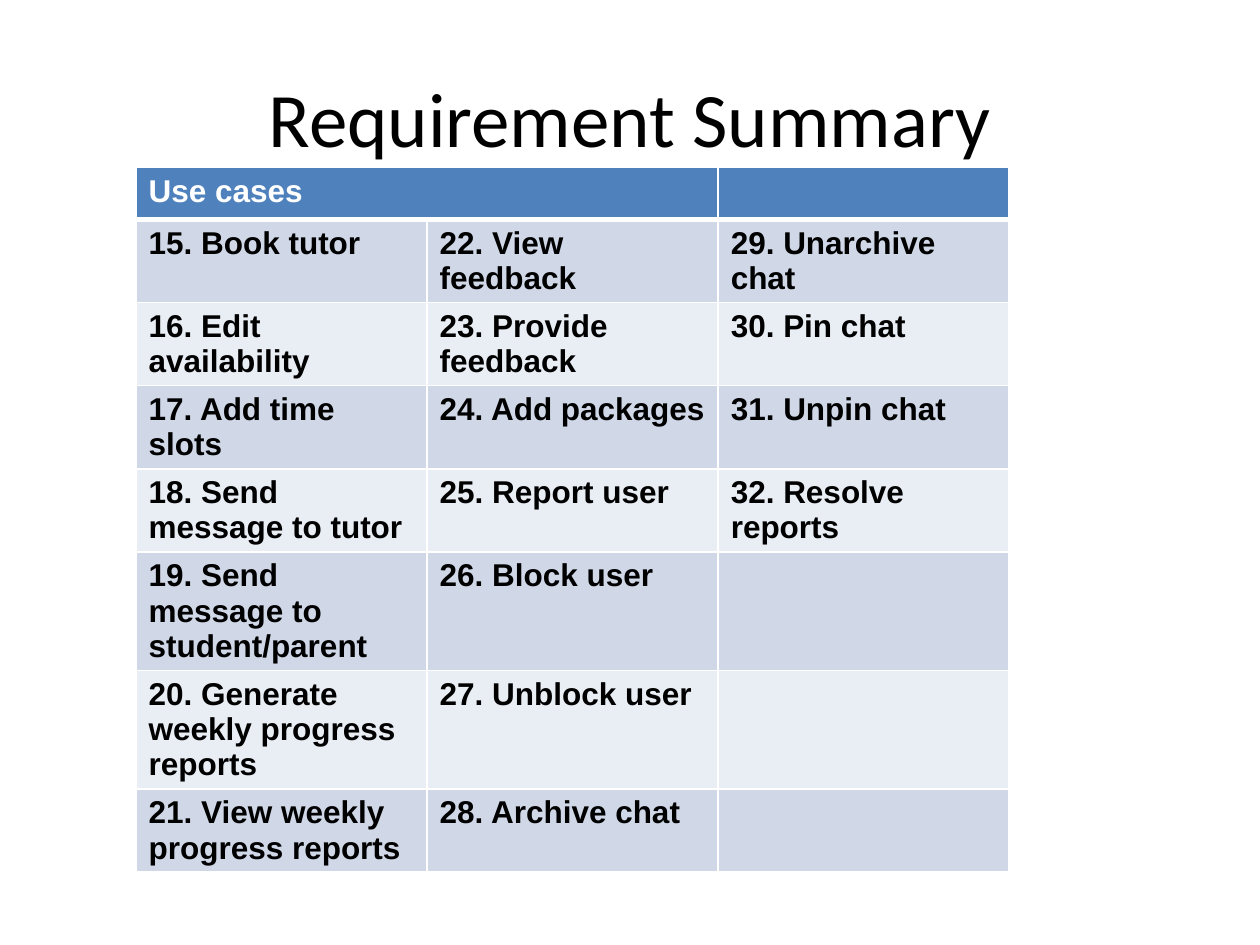
from lxml import etree
from pptx import Presentation
from pptx.dml.color import RGBColor
from pptx.enum.text import MSO_ANCHOR, PP_ALIGN
from pptx.oxml.ns import qn
from pptx.util import Inches, Pt

TITLE = "Requirement Summary"
HEADER = "Use cases"
USE_CASE_COLUMNS = [
    ["15. Book tutor", "16. Edit availability", "17. Add time slots",
     "18. Send message to tutor", "19. Send message to student/parent",
     "20. Generate weekly progress reports", "21. View weekly progress reports"],
    ["22. View feedback", "23. Provide feedback", "24. Add packages",
     "25. Report user", "26. Block user", "27. Unblock user", "28. Archive chat"],
    ["29. Unarchive chat", "30. Pin chat", "31. Unpin chat",
     "32. Resolve reports", "", "", ""],
]

BLACK = RGBColor(0x00, 0x00, 0x00)
WHITE = RGBColor(0xFF, 0xFF, 0xFF)
HEADER_BLUE = RGBColor(0x4F, 0x81, 0xBD)
BANDS = [RGBColor(0xD0, 0xD8, 0xE8), RGBColor(0xE9, 0xED, 0xF4)]

COLUMN_WIDTH = 2.31
ROW_HEIGHT = 0.41


def write(frame, text, *, font="Arial", size=18, color=BLACK, bold=False, align=None):
    paragraph = frame.paragraphs[0]
    paragraph.alignment = align
    if not text:
        paragraph.font.size = Pt(size)
        return
    run = paragraph.add_run()
    run.text = text
    run.font.name = font
    run.font.size = Pt(size)
    run.font.bold = bold
    run.font.color.rgb = color


def set_borders(cell, **widths):
    """Draw white cell borders; widths in points, keyed by side L, R, T, B."""
    properties = cell._tc.get_or_add_tcPr()
    for position, (side, width) in enumerate(widths.items()):
        line = etree.Element(qn(f"a:ln{side}"), w=str(Pt(width)))
        fill = etree.SubElement(line, qn("a:solidFill"))
        etree.SubElement(fill, qn("a:srgbClr"), val=str(WHITE))
        properties.insert(position, line)


def add_use_cases(slide):
    rows = [[HEADER, "", ""], *zip(*USE_CASE_COLUMNS)]
    column_count = len(USE_CASE_COLUMNS)
    table = slide.shapes.add_table(
        len(rows), column_count, Inches(1.08), Inches(1.33),
        Inches(COLUMN_WIDTH * column_count), Inches(ROW_HEIGHT * len(rows))).table
    for column in table.columns:
        column.width = Inches(COLUMN_WIDTH)

    for r, row in enumerate(rows):
        table.rows[r].height = Inches(ROW_HEIGHT)
        for c, text in enumerate(row):
            cell = table.cell(r, c)
            cell.fill.solid()
            cell.fill.fore_color.rgb = BANDS[(r - 1) % 2] if r else HEADER_BLUE
            set_borders(cell, L=1, R=1, T=3 if r == 1 else 1, B=1 if r else 3)
            write(cell.text_frame, text, color=BLACK if r else WHITE, bold=True)
    table.cell(0, 0).merge(table.cell(0, 1))


def main():
    deck = Presentation()
    deck.slide_width, deck.slide_height = Inches(10), Inches(7.5)
    slide = deck.slides.add_slide(deck.slide_layouts.get_by_name("Title Only"))

    title = slide.shapes.title
    title.left, title.top = Inches(0.5), Inches(0.3)
    title.width, title.height = Inches(9), Inches(1.25)
    title.text_frame.vertical_anchor = MSO_ANCHOR.MIDDLE
    write(title.text_frame, TITLE, font="Calibri", size=44, align=PP_ALIGN.CENTER)

    add_use_cases(slide)
    deck.save("out.pptx")


if __name__ == "__main__":
    main()
